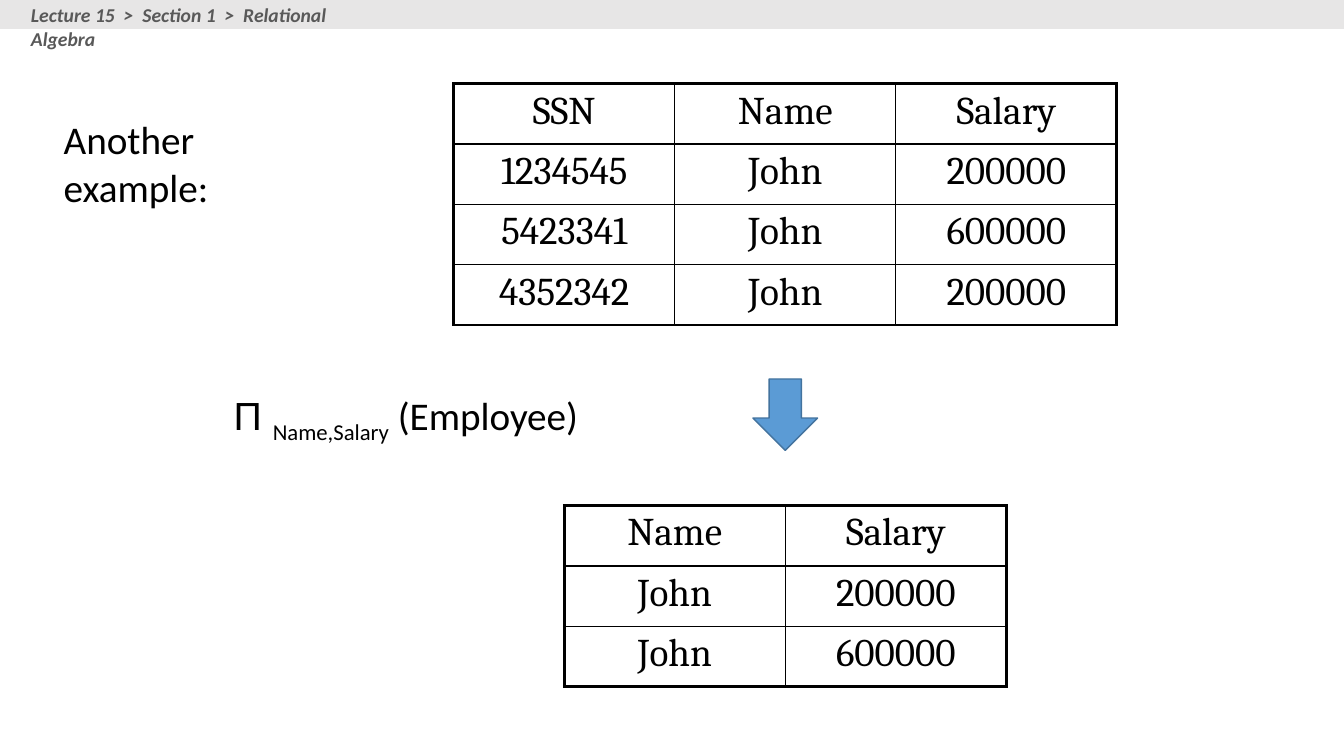
from dataclasses import dataclass

from lxml import etree
from pptx import Presentation
from pptx.dml.color import RGBColor
from pptx.enum.shapes import MSO_SHAPE
from pptx.enum.text import MSO_ANCHOR, MSO_AUTO_SIZE, PP_ALIGN
from pptx.oxml.ns import qn
from pptx.slide import Slide
from pptx.table import _Cell
from pptx.text.text import TextFrame, _Paragraph
from pptx.util import Cm, Pt

DOWN_ARROW, RECTANGLE = MSO_SHAPE.DOWN_ARROW, MSO_SHAPE.RECTANGLE
TOP, NO_AUTOFIT = MSO_ANCHOR.TOP, MSO_AUTO_SIZE.NONE
LEFT, CENTER = PP_ALIGN.LEFT, PP_ALIGN.CENTER
TITLE_ONLY = 5


@dataclass(frozen=True)
class Theme:
    ink: str = "000000"
    band: str = "E7E6E6"
    breadcrumb: str = "595959"
    arrow: str = "5B9BD5"
    arrow_edge: str = "43739E"
    body_font: str = "Calibri"
    symbol_font: str = "Arial"
    table_font: str = "Cambria"
    body_size: float = 28
    breadcrumb_size: float = 14
    outer_border: float = 2.25
    inner_border: float = 1


@dataclass(frozen=True)
class Box:
    left: float
    top: float
    width: float
    height: float

    def lengths(self) -> tuple[Cm, Cm, Cm, Cm]:
        return Cm(self.left), Cm(self.top), Cm(self.width), Cm(self.height)


@dataclass(frozen=True)
class Part:
    text: str
    font: str
    size: float = 28
    color: str = "000000"
    emphasis: bool = False
    subscript: bool = False


@dataclass(frozen=True)
class Relation:
    top: float
    rows: tuple[tuple[str, ...], ...]


@dataclass(frozen=True)
class Block:
    box: Box
    fill: str
    shape: MSO_SHAPE
    edge: str | None = None


THEME = Theme()
SLIDE_WIDTH, SLIDE_HEIGHT = 33.87, 19.05
COLUMN_WIDTH, ROW_HEIGHT = 5.57, 1.52
FLOW_CENTER = 19.79
ARROW_WIDTH = 1.63

TITLE_BOX = Box(1.35, 2.79, 7.6, 1.45)
TITLE = Part("Another example:", THEME.body_font)

TEXTS = (
    (Box(5.64, 9.73, 9.73, 1.45), (
        Part("Π ", THEME.symbol_font),
        Part("Name,Salary", THEME.body_font, subscript=True),
        Part(" (Employee)", THEME.body_font),
    )),
    (Box(0.53, -0.05, 9.6, 0.86), (
        Part("Lecture 15  >  Section 1  >  Relational Algebra", THEME.body_font,
             THEME.breadcrumb_size, THEME.breadcrumb, emphasis=True),
    )),
)

RELATIONS = (
    Relation(2.11, (
        ("SSN", "Name", "Salary"),
        ("1234545", "John", "200000"),
        ("5423341", "John", "600000"),
        ("4352342", "John", "200000"),
    )),
    Relation(12.74, (
        ("Name", "Salary"),
        ("John", "200000"),
        ("John", "600000"),
    )),
)

BLOCKS = (
    Block(Box(0, 0, SLIDE_WIDTH, 0.73), THEME.band, RECTANGLE),
    Block(Box(FLOW_CENTER - ARROW_WIDTH / 2, 9.55, ARROW_WIDTH, 1.8),
          THEME.arrow, DOWN_ARROW, THEME.arrow_edge),
)


def add_part(paragraph: _Paragraph, part: Part) -> None:
    run = paragraph.add_run()
    run.text = part.text
    font_format = {"name": part.font, "size": Pt(part.size),
                   "bold": part.emphasis, "italic": part.emphasis}
    for attribute, value in font_format.items():
        setattr(run.font, attribute, value)
    run.font.color.rgb = RGBColor.from_string(part.color)
    if part.subscript:
        run.font._element.set("baseline", "-25000")


def fill_frame(frame: TextFrame, parts: tuple[Part, ...]) -> None:
    frame_format = {"word_wrap": True, "auto_size": NO_AUTOFIT, "vertical_anchor": TOP}
    for attribute, value in frame_format.items():
        setattr(frame, attribute, value)
    paragraph = frame.paragraphs[0]
    paragraph.alignment = LEFT
    for part in parts:
        add_part(paragraph, part)


def add_title(slide: Slide) -> None:
    title = slide.shapes.title
    title.left, title.top, title.width, title.height = TITLE_BOX.lengths()
    fill_frame(title.text_frame, (TITLE,))


def add_block(slide: Slide, block: Block) -> None:
    shape = slide.shapes.add_shape(block.shape, *block.box.lengths())
    shape.shadow.inherit = False
    shape.fill.solid()
    shape.fill.fore_color.rgb = RGBColor.from_string(block.fill)
    if block.edge:
        shape.line.color.rgb = RGBColor.from_string(block.edge)
        shape.line.width = Pt(1)
    else:
        shape.line.fill.background()


def set_borders(cell: _Cell, on_edge: dict[str, bool]) -> None:
    """Draw heavy borders on the sides at the table's edge, thin ones elsewhere."""
    properties = cell._tc.get_or_add_tcPr()
    for side, outer in on_edge.items():
        width = THEME.outer_border if outer else THEME.inner_border
        border = etree.SubElement(properties, qn(f"a:ln{side}"), w=str(Pt(width)))
        fill = etree.SubElement(border, qn("a:solidFill"))
        etree.SubElement(fill, qn("a:srgbClr"), val=THEME.ink)


def add_relation(slide: Slide, relation: Relation) -> None:
    row_count, column_count = len(relation.rows), len(relation.rows[0])
    width = column_count * COLUMN_WIDTH
    box = Box(FLOW_CENTER - width / 2, relation.top, width, row_count * ROW_HEIGHT)
    table = slide.shapes.add_table(row_count, column_count, *box.lengths()).table
    table.first_row = table.horz_banding = False
    for column in table.columns:
        column.width = Cm(COLUMN_WIDTH)
    for row_index, values in enumerate(relation.rows):
        table.rows[row_index].height = Cm(ROW_HEIGHT)
        for column_index, value in enumerate(values):
            cell = table.cell(row_index, column_index)
            set_borders(cell, {
                "L": column_index == 0,
                "R": column_index == column_count - 1,
                "T": row_index == 0,
                "B": row_index == row_count - 1,
            })
            cell.fill.background()
            paragraph = cell.text_frame.paragraphs[0]
            paragraph.alignment = CENTER
            add_part(paragraph, Part(value, THEME.table_font))


def main() -> None:
    presentation = Presentation()
    presentation.slide_width = Cm(SLIDE_WIDTH)
    presentation.slide_height = Cm(SLIDE_HEIGHT)
    slide = presentation.slides.add_slide(presentation.slide_layouts[TITLE_ONLY])
    add_title(slide)
    for relation in RELATIONS:
        add_relation(slide, relation)
    for block in BLOCKS:
        add_block(slide, block)
    for box, parts in TEXTS:
        fill_frame(slide.shapes.add_textbox(*box.lengths()).text_frame, parts)
    presentation.save("out.pptx")


if __name__ == "__main__":
    main()
